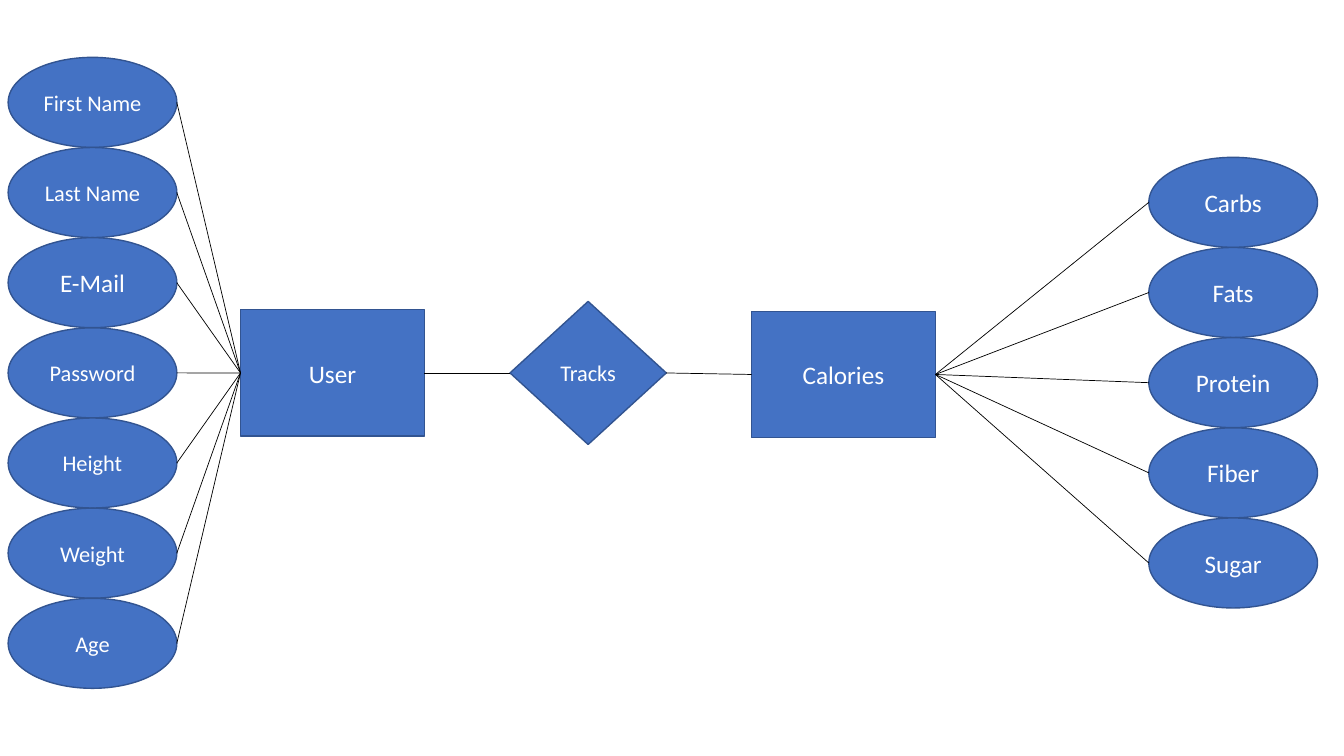
import pptx
import pptx.util
import pptx.dml.color
import pptx.enum.shapes
import pptx.enum.text
import pptx.oxml.ns
import lxml.etree

Pt = pptx.util.Pt
KIND = pptx.enum.shapes.MSO_SHAPE

FILL, OUTLINE, WHITE, BLACK = "4472C4", "325491", "FFFFFF", "000000"

# Attribute ellipses, stacked at an equal step
ELLIPSE_WIDTH, ELLIPSE_HEIGHT, STEP = 120.5, 64.3, 64.4

# Connection sites of rectangles and diamonds
LEFT, RIGHT = 1, 3

USER_ATTRIBUTES = [
    ("First Name", 16), ("Last Name", 16), ("E-Mail", 18), ("Password", 16),
    ("Height", 16), ("Weight", 16), ("Age", 16),
]
CALORIE_ATTRIBUTES = [
    ("Carbs", 18), ("Fats", 18), ("Protein", 18), ("Fiber", 18), ("Sugar", 18),
]


def colour(hex_string):
    return pptx.dml.color.RGBColor.from_string(hex_string)


def apply_format(target, values):
    for name, value in values.items():
        setattr(target, name, value)


def add_node(page, kind, left, top, width, height, label, size):
    """Add a filled shape with a centred label."""
    box = page.shapes.add_shape(kind, Pt(left), Pt(top), Pt(width), Pt(height))
    box.shadow.inherit = False
    box.fill.solid()
    box.fill.fore_color.rgb = colour(FILL)
    box.line.color.rgb = colour(OUTLINE)
    box.line.width = Pt(1)
    apply_format(box.text_frame, {
        "word_wrap": True,
        "vertical_anchor": pptx.enum.text.MSO_ANCHOR.MIDDLE,
        "margin_left": Pt(2),
        "margin_right": Pt(2),
    })
    para = box.text_frame.paragraphs[0]
    para.alignment = pptx.enum.text.PP_ALIGN.CENTER
    span = para.add_run()
    span.text = label
    apply_format(span.font, {"name": "Calibri", "size": Pt(size)})
    span.font.color.rgb = colour(WHITE)
    return box


def add_link(page, end_box, end_site, start_box=None, start_site=RIGHT, start=(0, 0)):
    """Draw a line to a box side, from another box side or from a point."""
    link = page.shapes.add_connector(
        pptx.enum.shapes.MSO_CONNECTOR.STRAIGHT, Pt(start[0]), Pt(start[1]), 0, 0)
    if start_box is not None:
        link.begin_connect(start_box, start_site)
    link.end_connect(end_box, end_site)
    link.line.color.rgb = colour(BLACK)
    link.line.width = Pt(0.5)
    lxml.etree.SubElement(
        link._element.spPr, pptx.oxml.ns.qn("a:effectLst"))


def add_attributes(page, attributes, left, top, entity, site):
    """Stack the attribute ellipses and link each one to its entity."""
    link_left = left + ELLIPSE_WIDTH if site == LEFT else left
    for index, (label, size) in enumerate(attributes):
        node_top = top + index * STEP
        add_node(page, KIND.OVAL, left, node_top,
                 ELLIPSE_WIDTH, ELLIPSE_HEIGHT, label, size)
        add_link(page, entity, site,
                 start=(link_left, node_top + ELLIPSE_HEIGHT / 2))


def main():
    deck = pptx.Presentation()
    deck.slide_width, deck.slide_height = Pt(960), Pt(540)
    page = deck.slides.add_slide(deck.slide_layouts[6])

    # Entities and their relationship
    tracks = add_node(page, KIND.DIAMOND, 364.3, 215.3, 111.6, 102.2, "Tracks", 16)
    user = add_node(page, KIND.RECTANGLE, 171.8, 221.3, 131.4, 90.2, "User", 18)
    calories = add_node(page, KIND.RECTANGLE, 536.8, 222.4, 131.4, 90.2, "Calories", 18)
    add_link(page, tracks, LEFT, start_box=user)
    add_link(page, calories, LEFT, start_box=tracks)

    # Attributes on both sides
    add_attributes(page, USER_ATTRIBUTES, 5.8, 41, user, LEFT)
    add_attributes(page, CALORIE_ATTRIBUTES, 820.6, 112.4, calories, RIGHT)

    deck.save("out.pptx")


if __name__ == "__main__":
    main()
